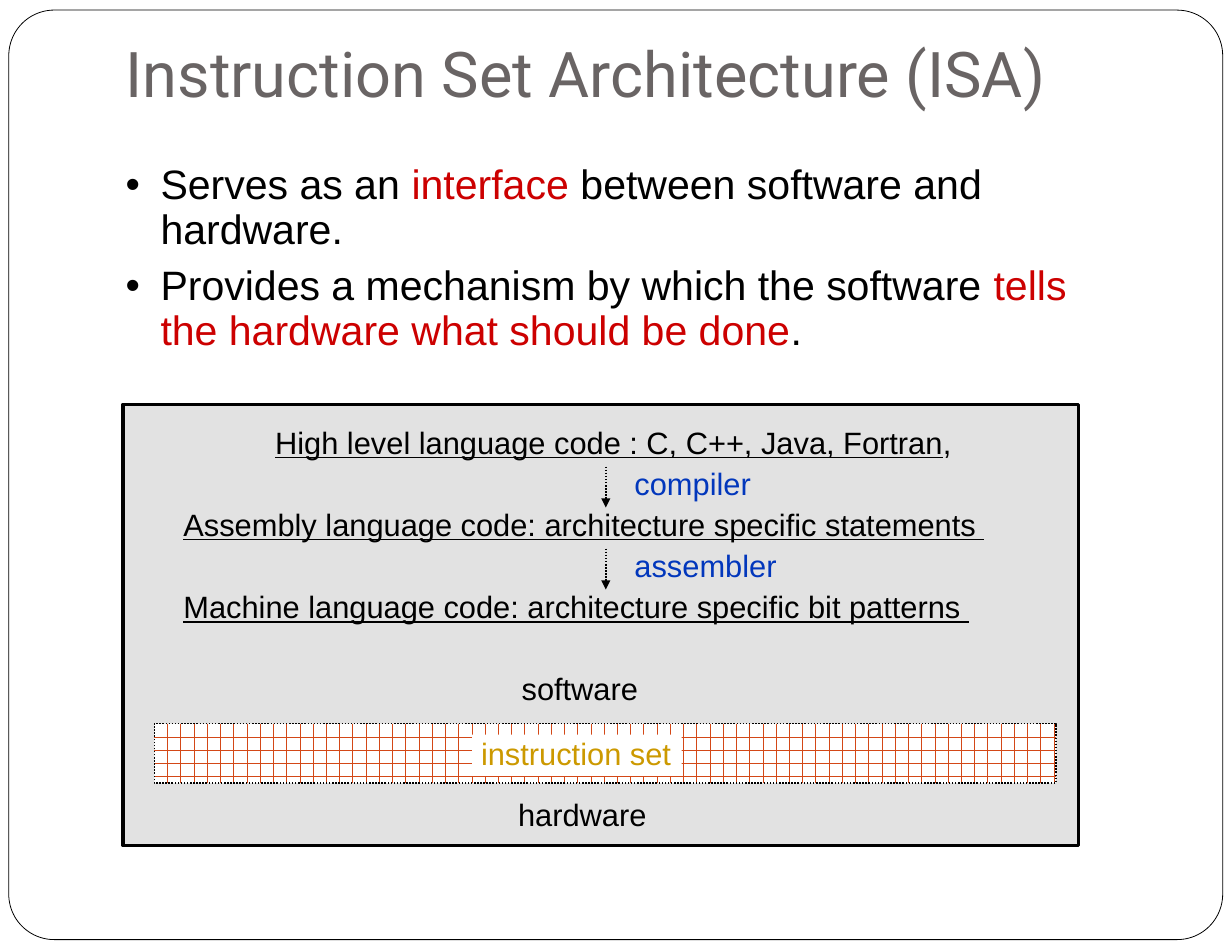
import pptx
import pptx.util
import pptx.dml.color
import pptx.enum.dml
import pptx.enum.shapes
import pptx.enum.text
import pptx.oxml.ns
import lxml.etree

Cm = pptx.util.Cm
Pt = pptx.util.Pt
RGBColor = pptx.dml.color.RGBColor
SHAPES = pptx.enum.shapes.MSO_SHAPE
ANCHOR = pptx.enum.text.MSO_ANCHOR

BLACK = RGBColor(0x00, 0x00, 0x00)
WHITE = RGBColor(0xFF, 0xFF, 0xFF)
GREY = RGBColor(0x69, 0x64, 0x64)
PANEL = RGBColor(0xE2, 0xE2, 0xE2)
RED = RGBColor(0xCC, 0x00, 0x00)
BLUE = RGBColor(0x02, 0x37, 0xBC)
GOLD = RGBColor(0xCC, 0x99, 0x00)
BRICK = RGBColor(0xD3, 0x48, 0x17)

ROW = 0.93


def add_span(para, text, size=19.8, color=BLACK, font="Arial", underline=False):
    span = para.add_run()
    span.text = text
    span.font.size = Pt(size)
    span.font.name = font
    span.font.color.rgb = color
    span.font.underline = underline


def set_frame(shape, side, edge, wrap=True, anchor=ANCHOR.TOP):
    frame = shape.text_frame
    frame.auto_size = pptx.enum.text.MSO_AUTO_SIZE.NONE
    frame.word_wrap = wrap
    frame.vertical_anchor = anchor
    frame.margin_left = frame.margin_right = Cm(side)
    frame.margin_top = frame.margin_bottom = Cm(edge)
    return frame


def place(shape, left, top, width, height):
    shape.left, shape.top = Cm(left), Cm(top)
    shape.width, shape.height = Cm(width), Cm(height)


def add_box(page, kind, left, top, width, height, fill=None, line_width=None):
    box = page.shapes.add_shape(kind, Cm(left), Cm(top), Cm(width), Cm(height))
    box.shadow.inherit = False
    if fill is not None:
        box.fill.solid()
        box.fill.fore_color.rgb = fill
    if line_width is None:
        box.line.fill.background()
    else:
        box.line.color.rgb = BLACK
        box.line.width = Pt(line_width)
    return box


def add_label(page, left, top, width, spans):
    label = page.shapes.add_textbox(Cm(left), Cm(top), Cm(width), Cm(0.89))
    para = set_frame(label, 0.2, 0.08, wrap=False).paragraphs[0]
    para.line_spacing = 0.85
    for text, style in spans:
        add_span(para, text, **style)


def add_dotted_arrow(page, x, top, length):
    arrow = page.shapes.add_connector(
        pptx.enum.shapes.MSO_CONNECTOR.STRAIGHT, Cm(x), Cm(top), Cm(x), Cm(top + length))
    arrow.line.color.rgb = BLACK
    arrow.line.width = Pt(1)
    arrow.line.dash_style = pptx.enum.dml.MSO_LINE.ROUND_DOT
    qn = pptx.oxml.ns.qn
    lxml.etree.SubElement(arrow.line._get_or_add_ln(), qn("a:tailEnd"), type="triangle")
    lxml.etree.SubElement(arrow._element.spPr, qn("a:effectLst"))


def add_border(page, left, top, width, height):
    border = add_box(page, SHAPES.ROUNDED_RECTANGLE, left, top, width, height, WHITE, 0.5)
    border.adjustments[0] = 0.049
    tree = border._element.getparent()
    tree.insert(2, border._element)


def fill_title(page, left, top, width, height):
    title = page.shapes.title
    place(title, left, top, width, height)
    para = set_frame(title, 0.28, 0.15, anchor=ANCHOR.BOTTOM).paragraphs[0]
    para.alignment = pptx.enum.text.PP_ALIGN.LEFT
    add_span(para, "Instruction Set Architecture (ISA)", size=40.5, color=GREY, font="Roboto")


def fill_points(page, left, top, width, height):
    points = [
        [("Serves as an ", BLACK), ("interface", RED),
         (" between software and hardware.", BLACK)],
        [("Provides a mechanism by which the software ", BLACK),
         ("tells the hardware what should be done", RED), (".", BLACK)],
    ]
    body = page.placeholders[1]
    place(body, left, top, width, height)
    frame = set_frame(body, 0.28, 0.15)
    for index, spans in enumerate(points):
        para = frame.add_paragraph() if index else frame.paragraphs[0]
        para.line_spacing = 0.9
        para.space_before = Pt(8)
        properties = para._p.get_or_add_pPr()
        properties.set("marL", str(Cm(0.79)))
        properties.set("indent", str(-Cm(0.79)))
        for text, color in spans:
            add_span(para, text, size=26.4, color=color)


def add_instruction_band(page, left, top, width, height):
    band = add_box(page, SHAPES.RECTANGLE, left, top, width, height, line_width=1)
    band.line.dash_style = pptx.enum.dml.MSO_LINE.ROUND_DOT
    band.fill.patterned()
    band.fill.pattern = pptx.enum.dml.MSO_PATTERN.HORIZONTAL_BRICK
    band.fill.fore_color.rgb = BRICK
    band.fill.back_color.rgb = WHITE
    name = add_box(page, SHAPES.RECTANGLE, left + 7.21, top + 0.25, 4.75, 0.94, WHITE)
    para = set_frame(name, 0.2, 0.08, wrap=False).paragraphs[0]
    para.alignment = pptx.enum.text.PP_ALIGN.LEFT
    para.line_spacing = 0.92
    add_span(para, "instruction set", color=GOLD)


def add_layers(page, left, top, width, height):
    add_box(page, SHAPES.RECTANGLE, left, top, width, height, PANEL, 2.25)
    add_instruction_band(page, left + 0.71, top + 7.24, width - 1.22, 1.35)
    first = top + 0.48
    linked = {"underline": True}
    step = {"color": BLUE}
    labels = [
        (0, 3.25, 15.88, [("High level language code : C, C++, Java, Fortran", linked), (",", {})]),
        (1, 11.4, 3.05, [("compiler", step)]),
        (2, 1.17, 18.72, [("Assembly language code: architecture specific statements ", linked)]),
        (3, 11.4, 3.63, [("assembler", step)]),
        (4, 1.17, 18.36, [("Machine language code: architecture specific bit patterns ", linked)]),
        (6, 8.84, 3.05, [("software", {})]),
        (9.07, 8.76, 3.33, [("hardware", {})]),
    ]
    for row, offset, label_width, spans in labels:
        add_label(page, left + offset, first + row * ROW, label_width, spans)
    for row in (1, 3):
        add_dotted_arrow(page, left + 10.95, first + row * ROW, ROW)


def main():
    deck = pptx.Presentation()
    deck.slide_width, deck.slide_height = Cm(27.94), Cm(21.59)
    page = deck.slides.add_slide(deck.slide_layouts[1])
    add_border(page, 0.2, 0.23, 27.53, 21.08)
    fill_title(page, 2.57, 1.47, 23.04, 1.17)
    fill_points(page, 2.57, 3.58, 22.58, 5.36)
    add_layers(page, 2.79, 9.17, 21.67, 10.01)
    deck.save("out.pptx")


if __name__ == "__main__":
    main()
